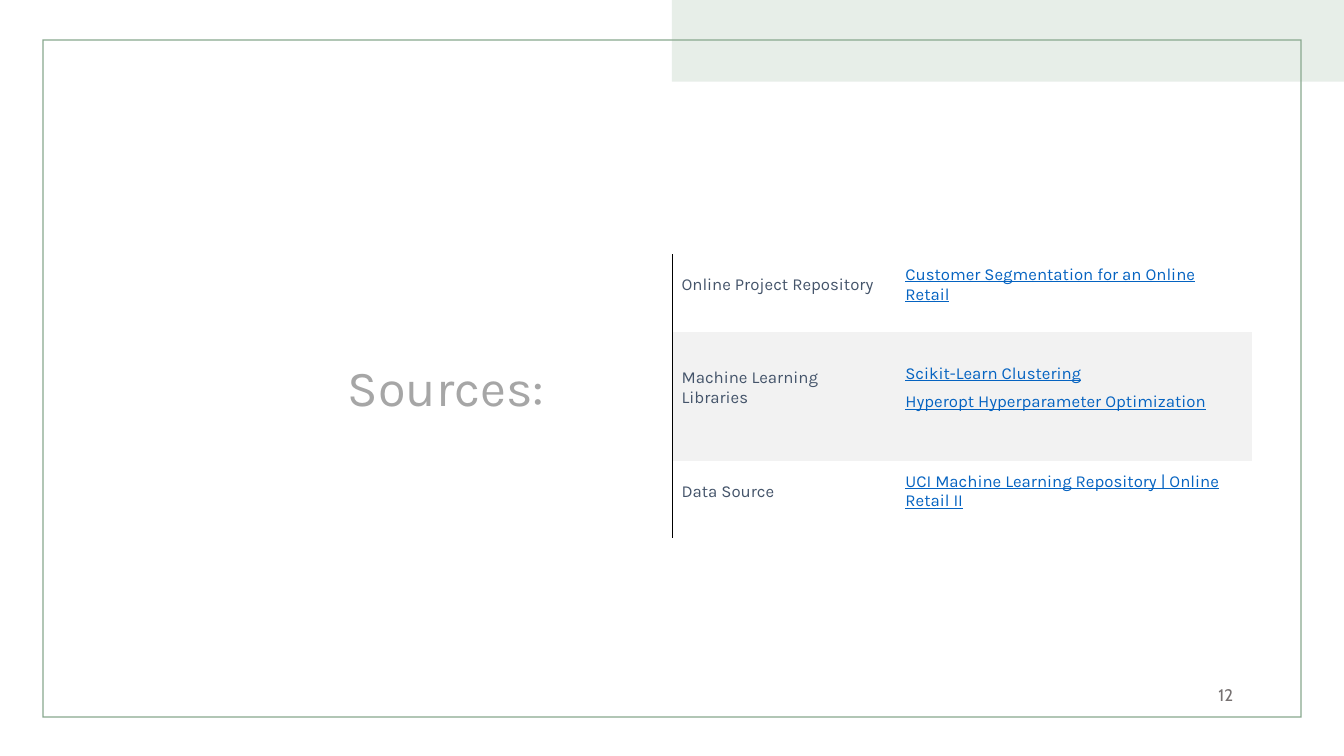
from lxml import etree
from pptx import Presentation
from pptx.dml.color import RGBColor
from pptx.enum.shapes import MSO_SHAPE
from pptx.enum.text import MSO_ANCHOR, PP_ALIGN
from pptx.oxml.ns import qn
from pptx.util import Inches, Pt

RECTANGLE, FRAME = MSO_SHAPE.RECTANGLE, MSO_SHAPE.FRAME
MIDDLE, RIGHT = MSO_ANCHOR.MIDDLE, PP_ALIGN.RIGHT

SLIDE_W, SLIDE_H = 13.33, 7.5
PLAIN_TABLE_STYLE = "{2D5ABB26-0587-4C30-8999-92F81FD0307C}"
COLUMN_WIDTHS = [2.22, 3.53]
HEADER_HEIGHT = 0.33
CELL_FORMAT = {
    "vertical_anchor": MIDDLE,
    "margin_left": Inches(0.09),
    "margin_top": Inches(0.03),
    "margin_right": Inches(0.13),
    "margin_bottom": Inches(0.19),
}
LABEL_FONT = {"name": "Karla", "size": Pt(12), "underline": False}
LINK_FONT = {**LABEL_FONT, "underline": True}

# Row height, band colour, label, linked sources
SOURCES = [
    (0.77, None, "Online Project Repository",
     ["Customer Segmentation for an Online Retail"]),
    (1.28, "F2F2F2", "Machine Learning Libraries",
     ["Scikit-Learn Clustering", "Hyperopt Hyperparameter Optimization"]),
    (0.77, None, "Data Source",
     ["UCI Machine Learning Repository | Online Retail II"]),
]


def rgb(color):
    return RGBColor.from_string(color)


def apply_format(target, values):
    for name, value in values.items():
        setattr(target, name, value)


def write(paragraph, text, color, font_format):
    run = paragraph.add_run()
    run.text = text
    apply_format(run.font, font_format)
    run.font.color.rgb = rgb(color)


def add_filled_shape(slide, kind, box, color):
    shape = slide.shapes.add_shape(kind, *map(Inches, box))
    shape.shadow.inherit = False
    shape.fill.solid()
    shape.fill.fore_color.rgb = rgb(color)
    shape.line.fill.background()
    return shape


def add_backdrop(slide, box):
    """Place the corner band and the thin frame."""
    left, top, width, height = box
    band_box = (left + width / 2, top, width / 2, 0.81)
    add_filled_shape(slide, RECTANGLE, band_box, "E7EEE8")
    frame_box = (left + 0.42, top + 0.39, width - 0.84, height - 0.77)
    frame = add_filled_shape(slide, FRAME, frame_box, "88A88E")
    frame.adjustments[0] = 0.002


def add_right_text(slide, box, text, color, font_format, paragraph_format):
    frame = slide.shapes.add_textbox(*map(Inches, box)).text_frame
    apply_format(frame, {"word_wrap": True, "vertical_anchor": MIDDLE})
    paragraph = frame.paragraphs[0]
    apply_format(paragraph, {"alignment": RIGHT, **paragraph_format})
    write(paragraph, text, color, font_format)


def add_left_border(cell, color, width):
    border = etree.Element(qn("a:lnL"), w=str(Pt(width)))
    fill = etree.SubElement(border, qn("a:solidFill"))
    etree.SubElement(fill, qn("a:srgbClr"), val=color)
    cell._tc.get_or_add_tcPr().insert(0, border)


def fill_cell(cell, lines, color, font_format, space_after):
    apply_format(cell, CELL_FORMAT)
    frame = cell.text_frame
    for index, line in enumerate(lines):
        paragraph = frame.add_paragraph() if index else frame.paragraphs[0]
        paragraph.space_after = Pt(space_after)
        write(paragraph, line, color, font_format)


def add_sources_table(slide, left, top):
    heights = [HEADER_HEIGHT] + [source[0] for source in SOURCES]
    table = slide.shapes.add_table(
        len(heights), len(COLUMN_WIDTHS), Inches(left), Inches(top),
        Inches(sum(COLUMN_WIDTHS)), Inches(sum(heights))).table
    apply_format(table, {"first_row": False, "horz_banding": False})
    table._tbl.tblPr.find(qn("a:tableStyleId")).text = PLAIN_TABLE_STYLE
    for column, width in zip(table.columns, COLUMN_WIDTHS):
        column.width = Inches(width)
    for row, height in zip(table.rows, heights):
        row.height = Inches(height)
    for cell in table.iter_cells():
        cell.fill.background()

    for row, (_, band, label, links) in enumerate(SOURCES, start=1):
        label_cell, links_cell = table.cell(row, 0), table.cell(row, 1)
        fill_cell(label_cell, [label], "44546A", LABEL_FONT, 0)
        fill_cell(links_cell, links, "0563C1", LINK_FONT,
                  6 if len(links) > 1 else 0)
        if band:
            for cell in (label_cell, links_cell):
                cell.fill.solid()
                cell.fill.fore_color.rgb = rgb(band)
        add_left_border(label_cell, "000000", 0.75)


def build_sources_slide(presentation):
    slide = presentation.slides.add_slide(presentation.slide_layouts[6])
    add_backdrop(slide, (0, 0, SLIDE_W, SLIDE_H))
    add_right_text(slide, (1, 1.12, 4.5, 5.5), "Sources:", "A6A6A6",
                   {"name": "Karla", "size": Pt(36)}, {"line_spacing": 0.9})
    add_right_text(slide, (9.33, 6.69, 3, 0.4), "12", "767171",
                   {"name": "Cabin", "size": Pt(12)}, {"space_after": Pt(6)})
    add_sources_table(slide, 6.67, 2.12)


def main():
    presentation = Presentation()
    presentation.slide_width = Inches(SLIDE_W)
    presentation.slide_height = Inches(SLIDE_H)
    build_sources_slide(presentation)
    presentation.save("out.pptx")


if __name__ == "__main__":
    main()
